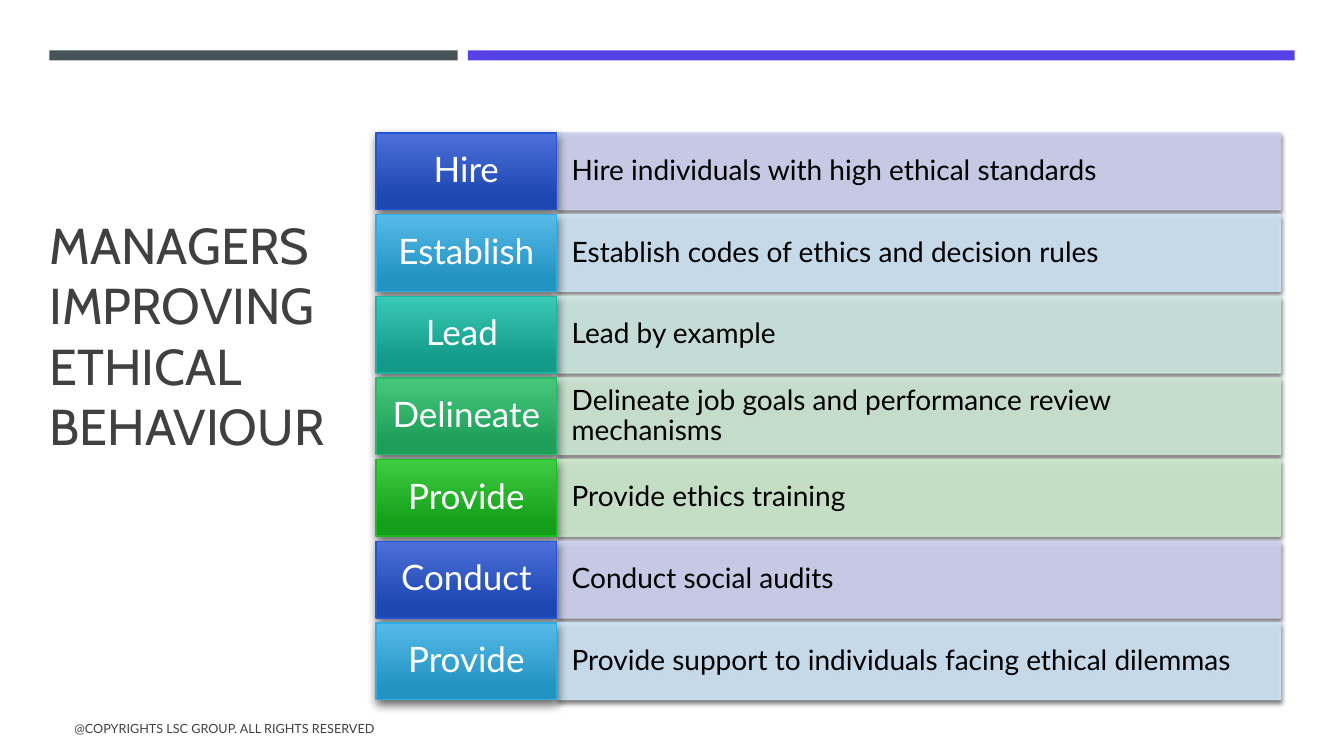
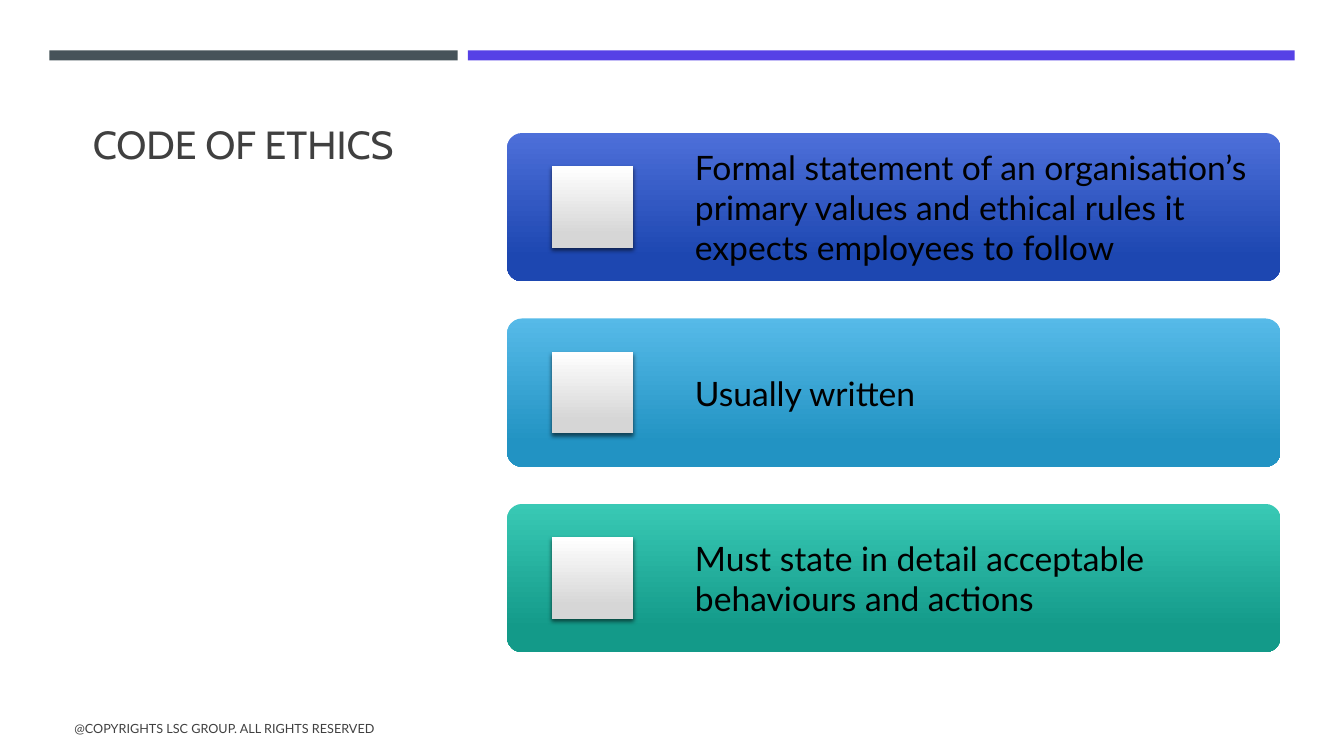
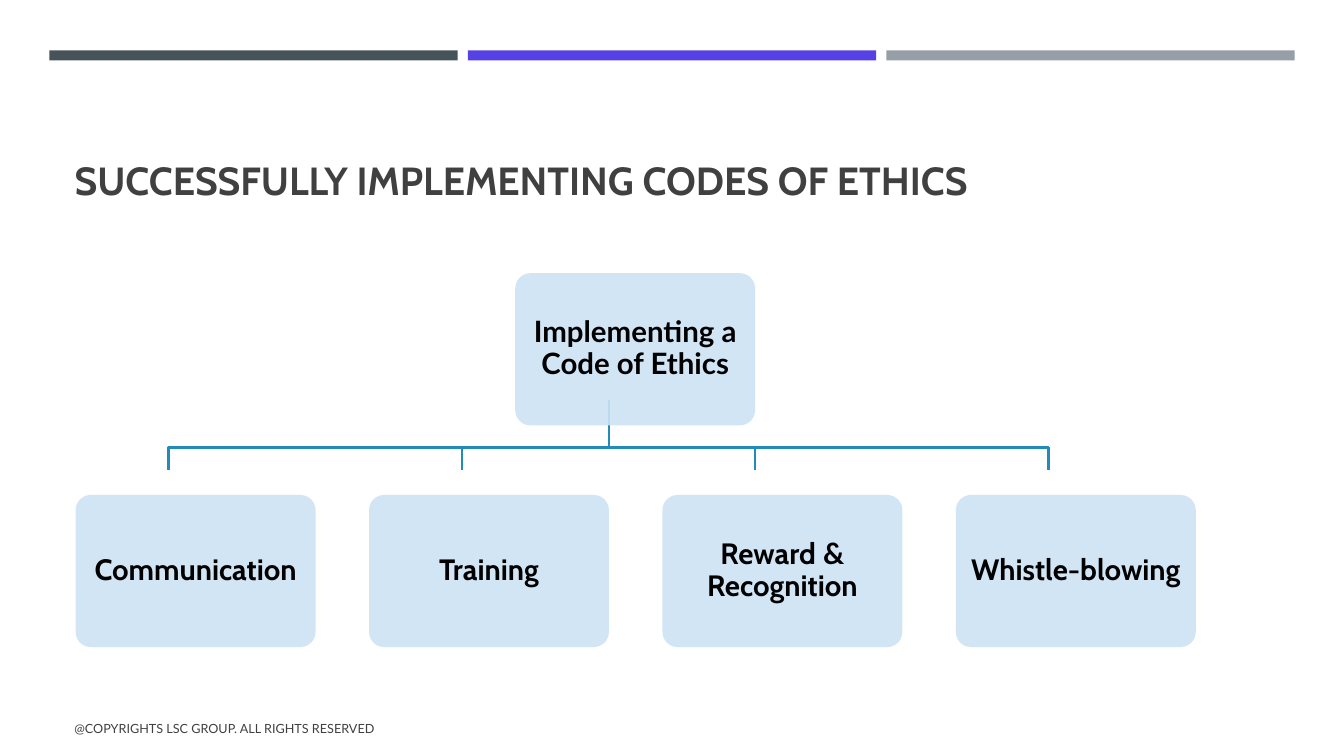
import pptx
import pptx.util
import pptx.dml.color
import pptx.enum.shapes
import pptx.enum.text
import pptx.oxml.ns
from lxml import etree

PX = 9144
SHAPE = pptx.enum.shapes.MSO_SHAPE
ALIGN = pptx.enum.text.PP_ALIGN
ANCHOR = pptx.enum.text.MSO_ANCHOR
qn = pptx.oxml.ns.qn

COLORS = {
    "slate": "465359", "violet": "5641E6", "gray": "969FA7",
    "heading": "404040", "black": "000000", "white": "FFFFFF",
    "connector": "238BB7", "card": "CDE3F5", "silver": "D6D6D6",
}
# Each accent: gradient top, gradient bottom, outline, tint
ACCENTS = [
    ("4D6FD9", "1D47B1", "2255D3", "CDD1EF"),
    ("56BAE8", "2293C3", "2CAEE4", "CDE3F5"),
    ("39C9B5", "139A89", "17B7A3", "CCE6E0"),
    ("46C87C", "1E9E59", "24BC6A", "CDE7D4"),
    ("3ECC41", "149F1A", "18BD1F", "CCE8CD"),
]
# Each shadow: opacity in %, blur and distance in points, direction in degrees
SOFT_SHADOW = (55, 3, 2, 90)
LABEL_SHADOW = (60, 7, 3, 84)

FOOTER = "@COPYRIGHTS LSC GROUP. ALL RIGHTS RESERVED"
PRACTICES = [
    ("Hire", "Hire individuals with high ethical standards"),
    ("Establish", "Establish codes of ethics and decision rules"),
    ("Lead ", "Lead by example"),
    ("Delineate", "Delineate job goals and performance review mechanisms"),
    ("Provide", "Provide ethics training"),
    ("Conduct", "Conduct social audits"),
    ("Provide", "Provide support to individuals facing ethical dilemmas"),
]
CODE_POINTS = [
    "Formal statement of an organisation’s primary values and ethical rules it "
    "expects employees to follow",
    "Usually written",
    "Must state in detail acceptable behaviours and actions",
]
STEPS = [
    [("Communication", "Cabin")],
    [("Training", "Cabin")],
    [("Reward", "Cabin"), (" &", "Lato"), (" Recognition", "Cabin")],
    [("Whistle-blowing", "Cabin")],
]


def rgb(value):
    return pptx.dml.color.RGBColor.from_string(value)


def px(*lengths):
    return [length * PX for length in lengths]


def write(sp, content, size, font="Lato", color=COLORS["black"], bold=False,
          align=ALIGN.LEFT, anchor=ANCHOR.MIDDLE, insets=(10, 5, 10, 5), spacing=1.0):
    """Fill a shape with one paragraph: a string, or a list of (text, font) runs."""
    tf = sp.text_frame
    tf.word_wrap = True
    tf.auto_size = pptx.enum.text.MSO_AUTO_SIZE.NONE
    tf.vertical_anchor = anchor
    tf.margin_left, tf.margin_top, tf.margin_right, tf.margin_bottom = px(*insets)
    p = tf.paragraphs[0]
    p.alignment = align
    p.line_spacing = spacing
    runs = [(content, font)] if isinstance(content, str) else content
    for text, run_font in runs:
        r = p.add_run()
        r.text = text
        r.font.name = run_font
        r.font.size = pptx.util.Pt(size)
        r.font.bold = bold
        r.font.color.rgb = rgb(color)


def add_shadow(sp, opacity, blur, distance, direction):
    effects = sp._element.spPr.find(qn("a:effectLst"))
    outer = etree.SubElement(
        effects, qn("a:outerShdw"), blurRad=str(blur * 12700), dist=str(distance * 12700),
        dir=str(direction * 60000), algn="ctr", rotWithShape="0")
    color = etree.SubElement(outer, qn("a:srgbClr"), val=COLORS["black"])
    etree.SubElement(color, qn("a:alpha"), val=str(opacity * 1000))


def add_box(s, left, top, width, height, fill, line=None, kind=SHAPE.RECTANGLE,
            opacity=100, shadow=None):
    """Draw a preset shape; fill is one colour or a (top, bottom) gradient."""
    sp = s.shapes.add_shape(kind, *px(left, top, width, height))
    sp.shadow.inherit = False
    if kind == SHAPE.ROUNDED_RECTANGLE:
        sp.adjustments[0] = 0.1
    if isinstance(fill, str):
        sp.fill.solid()
        sp.fill.fore_color.rgb = rgb(fill)
    else:
        sp.fill.gradient()
        sp.fill.gradient_angle = 270
        for stop, color, position in zip(sp.fill.gradient_stops, fill, (0, 0.84)):
            stop.color.rgb = rgb(color)
            stop.position = position
    if line:
        sp.line.color.rgb = rgb(line)
        sp.line.width = pptx.util.Pt(1)
    else:
        sp.line.fill.background()
    if opacity < 100:
        for color in sp._element.spPr.iter(qn("a:srgbClr")):
            etree.SubElement(color, qn("a:alpha"), val=str(opacity * 1000))
    if shadow:
        add_shadow(sp, *shadow)
    return sp


def add_slide(prs, title, frame, size, bands, bold=False, anchor=ANCHOR.TOP):
    """Add a slide with its title, top bands and footer."""
    s = prs.slides.add_slide(prs.slide_layouts[5])
    heading = s.shapes.title
    heading.left, heading.top, heading.width, heading.height = px(*frame)
    write(heading, title, size, font="Cabin", color=COLORS["heading"], bold=bold,
          anchor=anchor)
    for left, width, color in bands:
        add_box(s, left, 50, width, 10, COLORS[color])
    footer = s.shapes.add_textbox(*px(64, 703, 756, 40))
    write(footer, FOOTER, 9, color=COLORS["heading"])
    return s


def add_practice_row(s, top, label, detail, accent):
    light, dark, outline, tint = accent
    sp = add_box(s, 553, top, 717, 76, tint, line=tint, opacity=90, shadow=SOFT_SHADOW)
    write(sp, detail, 20, insets=(14, 0, 14, 0), spacing=0.9)
    sp = add_box(s, 373, top, 179, 76, (light, dark), line=outline, shadow=LABEL_SHADOW)
    write(sp, label, 25, color=COLORS["white"], align=ALIGN.CENTER,
          insets=(9, 8, 9, 8), spacing=0.9)


def add_code_bar(s, top, text, accent):
    sp = add_box(s, 503, top, 767, 147, accent[:2], kind=SHAPE.ROUNDED_RECTANGLE)
    write(sp, text, 24, insets=(182, 12, 12, 12))
    add_box(s, 547, top + 33, 81, 81, (COLORS["white"], COLORS["silver"]),
            shadow=SOFT_SHADOW)


def add_card(s, left, top, content):
    sp = add_box(s, left, top, 238, 151, COLORS["card"], kind=SHAPE.ROUNDED_RECTANGLE,
                 opacity=90)
    write(sp, content, 21, bold=True, align=ALIGN.CENTER, insets=(9, 9, 9, 9), spacing=0.9)


def add_branch(s, points):
    builder = s.shapes.build_freeform(*points[0], scale=PX)
    builder.add_line_segments(points[1:], close=False)
    sp = builder.convert_to_shape()
    sp.shadow.inherit = False
    sp.fill.background()
    sp.line.color.rgb = rgb(COLORS["connector"])
    sp.line.width = pptx.util.Pt(1.75)


def build_practices(prs, bands):
    s = add_slide(prs, "MANAGERS IMPROVING ETHICAL BEHAVIOUR", (39, 207, 334, 347), 36, bands)
    for i, (label, detail) in enumerate(PRACTICES):
        add_practice_row(s, 132 + 81 * i, label, detail, ACCENTS[i % len(ACCENTS)])


def build_code(prs, bands):
    s = add_slide(prs, "CODE OF ETHICS", (82, 114, 334, 515), 28, bands)
    for i, (text, accent) in enumerate(zip(CODE_POINTS, ACCENTS)):
        add_code_bar(s, 132 + 184 * i, text, accent)


def build_hierarchy(prs, bands):
    s = add_slide(prs, "SUCCESSFULLY IMPLEMENTING CODES OF ETHICS", (64, 77, 1206, 130), 28,
                  bands, bold=True, anchor=ANCHOR.BOTTOM)
    lefts = [75 + 291 * i for i in range(len(STEPS))]
    for left in lefts:
        end = left + 92
        add_branch(s, [(604, 397), (604, 444), (end, 444), (end, 466)])
    add_card(s, 511, 271, "Implementing a Code of Ethics")
    for left, content in zip(lefts, STEPS):
        add_card(s, left, 491, content)


def main():
    prs = pptx.Presentation()
    prs.slide_width, prs.slide_height = px(1333, 750)
    two_bands = [(49, 405, "slate"), (464, 820, "violet")]
    three_bands = [(49, 405, "slate"), (464, 405, "violet"), (879, 405, "gray")]
    build_practices(prs, two_bands)
    build_code(prs, two_bands)
    build_hierarchy(prs, three_bands)
    prs.save("out.pptx")


if __name__ == "__main__":
    main()
